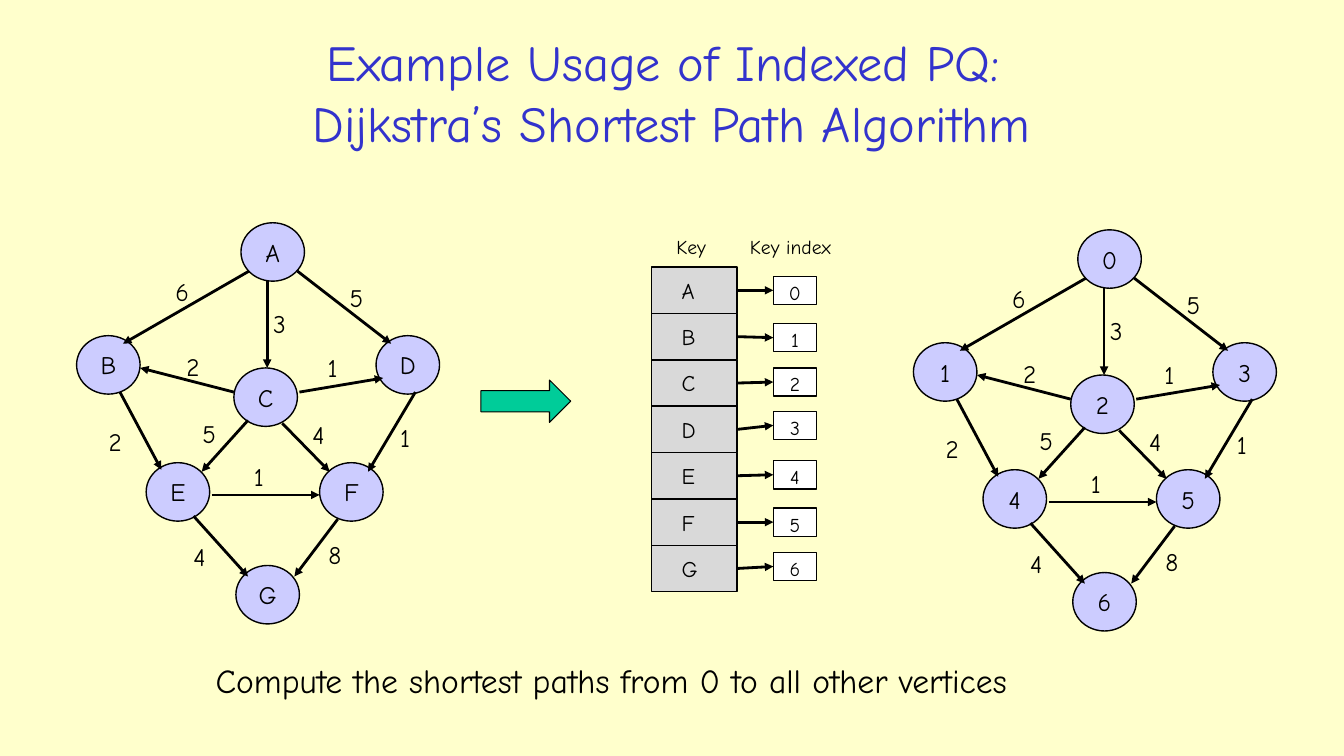
"""Builds a slide that maps a lettered graph to key indexes for Dijkstra's algorithm."""
import dataclasses

import pptx
import pptx.dml.color
import pptx.enum.shapes
import pptx.enum.text
import pptx.oxml
import pptx.oxml.ns
import pptx.util

Inches = pptx.util.Inches
Pt = pptx.util.Pt
Color = pptx.dml.color.RGBColor.from_string
Kind = pptx.enum.shapes.MSO_SHAPE
Anchor = pptx.enum.text.MSO_ANCHOR
Align = pptx.enum.text.PP_ALIGN
AutoSize = pptx.enum.text.MSO_AUTO_SIZE


@dataclasses.dataclass(frozen=True)
class Theme:
    font: str = "Comic Neue"
    background: str = "FFFFCC"
    title: str = "3333CC"
    ink: str = "000000"
    node: str = "CCCCFF"
    key: str = "D9D9D9"
    index: str = "FFFFFF"
    arrow: str = "00CC99"
    title_size: int = 36
    caption_size: int = 24
    graph_size: int = 18
    key_size: int = 16
    index_size: int = 14


theme = Theme()
presentation = pptx.Presentation()
presentation.slide_width = Inches(13.33)
presentation.slide_height = Inches(7.5)
slide = presentation.slides.add_slide(presentation.slide_layouts[5])
slide.background.fill.solid()
slide.background.fill.fore_color.rgb = Color(theme.background)


def add_block(kind, left, top, width, height, fill, text="", size=theme.graph_size):
    shape = slide.shapes.add_shape(kind, Inches(left), Inches(top), Inches(width), Inches(height))
    shape.shadow.inherit = False
    shape.fill.solid()
    shape.fill.fore_color.rgb = Color(fill)
    shape.line.color.rgb = Color(theme.ink)
    shape.line.width = Pt(1)
    frame = shape.text_frame
    frame.word_wrap = False
    frame.vertical_anchor = Anchor.MIDDLE
    paragraph = frame.paragraphs[0]
    paragraph.text = text
    paragraph.alignment = Align.CENTER
    paragraph.font.name = theme.font
    paragraph.font.size = Pt(size)
    paragraph.font.color.rgb = Color(theme.ink)
    return shape


def add_arrow(start_x, start_y, end_x, end_y):
    connector = slide.shapes.add_connector(
        pptx.enum.shapes.MSO_CONNECTOR.STRAIGHT,
        Inches(start_x), Inches(start_y), Inches(end_x), Inches(end_y))
    connector.line.color.rgb = Color(theme.ink)
    connector.line.width = Pt(2)
    namespace = pptx.oxml.ns.nsdecls("a")
    connector.line._get_or_add_ln().append(
        pptx.oxml.parse_xml(f'<a:tailEnd {namespace} type="triangle"/>'))
    connector._element.spPr.append(pptx.oxml.parse_xml(f"<a:effectLst {namespace}/>"))
    return connector


title = slide.shapes.title
title.left, title.top = Inches(0.54), Inches(0.15)
title.width, title.height = Inches(12.24), Inches(1.52)
title.text_frame.auto_size = AutoSize.NONE
title.text_frame.vertical_anchor = Anchor.MIDDLE
paragraph = title.text_frame.paragraphs[0]
paragraph.add_run().text = "Example Usage of Indexed PQ: "
paragraph.add_line_break()
paragraph.add_run().text = "Dijkstra’s Shortest Path Algorithm"
paragraph.alignment = Align.CENTER
paragraph.font.name = theme.font
paragraph.font.size = Pt(theme.title_size)
paragraph.font.color.rgb = Color(theme.title)

node_places = [(2.39, 2.21), (0.76, 3.33), (2.32, 3.65), (3.73, 3.33),
               (1.45, 4.59), (3.17, 4.59), (2.34, 5.61)]
edges = [
    ((2.47, 2.69, 1.22, 3.41), "6", (1.64, 2.69)),
    ((2.65, 2.79, 2.65, 3.65), "3", (2.61, 3.01)),
    ((2.95, 2.69, 3.88, 3.41), "5", (3.37, 2.75)),
    ((2.32, 3.89, 1.39, 3.65), "2", (1.75, 3.44)),
    ((2.97, 3.89, 3.80, 3.75), "1", (3.15, 3.45)),
    ((1.19, 3.89, 1.60, 4.66), "2", (0.98, 4.18)),
    ((2.46, 4.17, 2.00, 4.68), "5", (1.91, 4.10)),
    ((2.80, 4.20, 3.27, 4.68), "4", (3.00, 4.11)),
    ((4.12, 3.89, 3.65, 4.68), "1", (3.87, 4.14)),
    ((2.10, 4.91, 3.17, 4.91), "1", (2.42, 4.53)),
    ((1.92, 5.12, 2.46, 5.72), "4", (1.82, 5.32)),
    ((3.35, 5.15, 2.92, 5.72), "8", (3.16, 5.30)),
]
labels = [
    ("Key", 6.61, 2.28, 0.64, 0.34, theme.index_size),
    ("Key index", 7.34, 2.28, 1.2, 0.34, theme.index_size),
    ("Compute the shortest paths from 0 to all other vertices",
     2.04, 6.5, 9.23, 0.5, theme.caption_size),
]

for names, shift_x, shift_y in (("ABCDEFG", 0, 0), ("0123456", 8.3, 0.07)):
    for name, (left, top) in zip(names, node_places):
        add_block(Kind.OVAL, left + shift_x, top + shift_y, 0.63, 0.58, theme.node, name)
    for (start_x, start_y, end_x, end_y), weight, (left, top) in edges:
        add_arrow(start_x + shift_x, start_y + shift_y, end_x + shift_x, end_y + shift_y)
        width = 0.32 if weight == "1" else 0.36
        labels.append((weight, left + shift_x, top + shift_y, width, 0.4, theme.graph_size))

index_tops = [2.74, 3.21, 3.65, 4.08, 4.57, 5.04, 5.48]
for row, (key, index_top) in enumerate(zip("ABCDEFG", index_tops)):
    key_cell = add_block(Kind.RECTANGLE, 6.46, 2.65 + row * 0.46, 0.85, 0.46,
                         theme.key, key, theme.key_size)
    key_cell.text_frame.margin_left = Inches(0.3)
    key_cell.text_frame.paragraphs[0].alignment = Align.LEFT
    index_cell = add_block(Kind.RECTANGLE, 7.67, index_top, 0.43, 0.28,
                           theme.index, str(row), theme.index_size)
    index_cell.text_frame.margin_top = Inches(0.04)
    index_cell.text_frame.margin_bottom = 0
    pointer = add_arrow(7.31, index_top, 7.67, index_top)
    pointer.begin_connect(key_cell, 3)
    pointer.end_connect(index_cell, 1)

for text, left, top, width, height, size in labels:
    label = slide.shapes.add_textbox(Inches(left), Inches(top), Inches(width), Inches(height))
    label.text_frame.word_wrap = size != theme.graph_size
    label.text_frame.auto_size = AutoSize.SHAPE_TO_FIT_TEXT
    paragraph = label.text_frame.paragraphs[0]
    paragraph.text = text
    paragraph.font.name = theme.font
    paragraph.font.size = Pt(size)
    paragraph.font.color.rgb = Color(theme.ink)

mapping_arrow = add_block(Kind.RIGHT_ARROW, 4.77, 3.77, 0.89, 0.42, theme.arrow)
mapping_arrow.line.width = Pt(0.75)

presentation.save("out.pptx")
